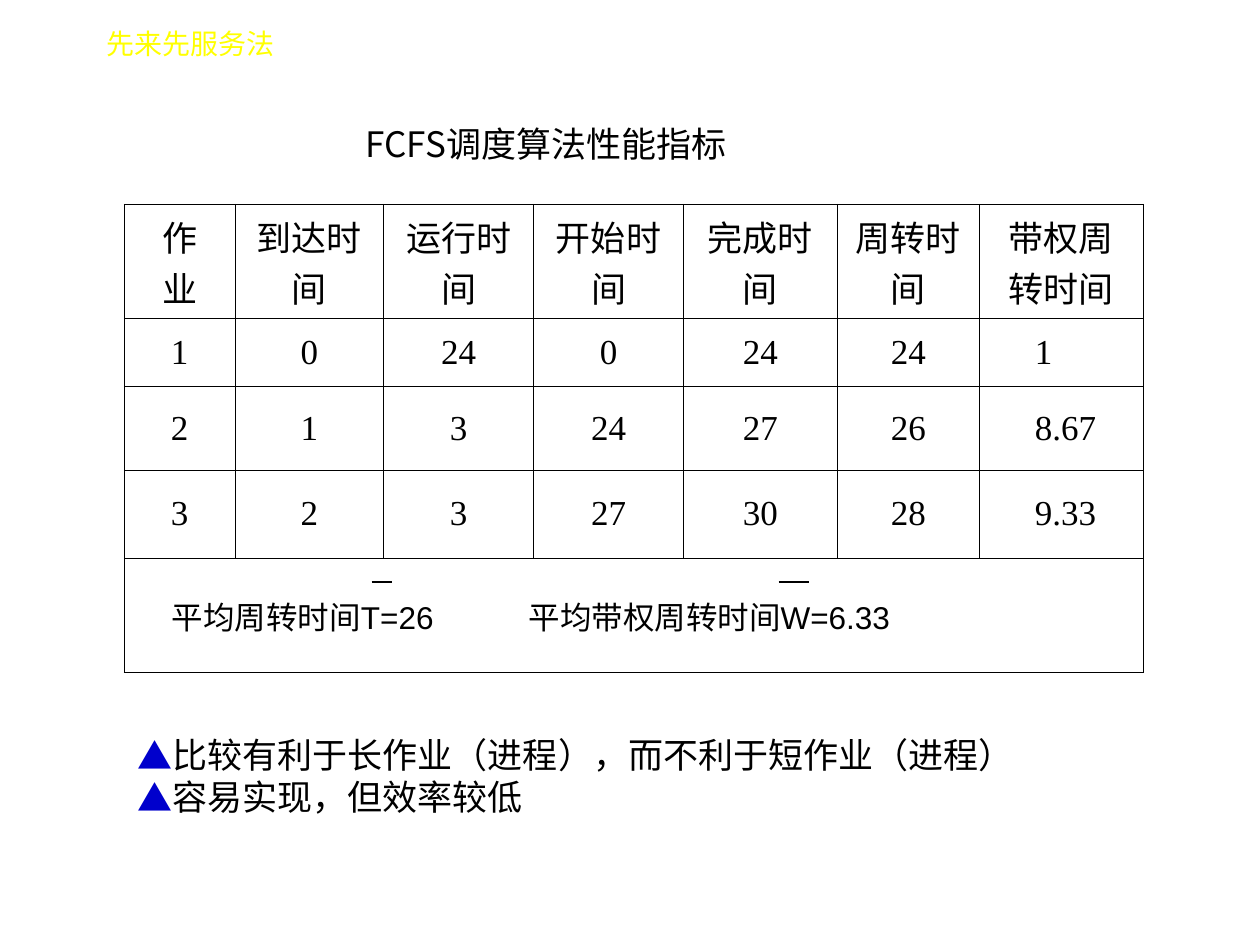
from lxml.etree import SubElement
from pptx import Presentation
from pptx.dml.color import RGBColor
from pptx.enum.shapes import MSO_CONNECTOR as Connector
from pptx.enum.text import MSO_ANCHOR as Anchor, PP_ALIGN as Align
from pptx.oxml.ns import qn
from pptx.util import Inches, Pt

BLACK, YELLOW, BLUE = "000000", "FFFF00", "0000CC"
COLUMNS, ROWS = 100, 75


def color(value):
    return RGBColor.from_string(value)


class SlideBuilder:
    """Draws styled elements on a slide measured in a 100 by 75 grid."""

    text_font, cjk_font, number_font = "Arial", "Noto Sans CJK SC", "Times New Roman"

    def __init__(self, presentation):
        self.width, self.height = presentation.slide_width, presentation.slide_height
        self.slide = presentation.slides.add_slide(presentation.slide_layouts[6])

    def x(self, columns):
        return round(self.width * columns / COLUMNS)

    def y(self, rows):
        return round(self.height * rows / ROWS)

    def style(self, paragraph, size, font, fill=BLACK):
        paragraph.font.size = Pt(size)
        paragraph.font.name = font
        paragraph.font.color.rgb = color(fill)

    def text(self, left, top, width, height, lines, size, font=text_font,
             fill=BLACK, anchor=Anchor.MIDDLE, wrap=True, spacing=None):
        shape = self.slide.shapes.add_textbox(self.x(left), self.y(top), self.x(width), self.y(height))
        frame = shape.text_frame
        frame.word_wrap, frame.vertical_anchor = wrap, anchor
        frame.text = "\n".join(lines)
        for paragraph in frame.paragraphs:
            self.style(paragraph, size, font, fill)
            paragraph.line_spacing = spacing
        return frame

    def bullets(self, frame, character, fill, indent):
        for paragraph in frame.paragraphs:
            properties = paragraph._p.get_or_add_pPr()
            properties.set("marL", str(self.x(indent)))
            properties.set("indent", str(-self.x(indent)))
            bullet_color = SubElement(properties, qn("a:buClr"))
            SubElement(bullet_color, qn("a:srgbClr"), val=fill)
            SubElement(properties, qn("a:buFont"), typeface=self.cjk_font)
            SubElement(properties, qn("a:buChar"), char=character)

    def cell(self, cell, content, size, font, align, margin=1):
        cell.text = content
        cell.vertical_anchor = Anchor.MIDDLE
        cell.margin_left = self.x(margin)
        paragraph = cell.text_frame.paragraphs[0]
        paragraph.alignment = align
        self.style(paragraph, size, font)
        return paragraph

    def border(self, cell, width=0.45):
        properties = cell._tc.get_or_add_tcPr()
        for side in ("lnL", "lnR", "lnT", "lnB"):
            line = SubElement(properties, qn(f"a:{side}"), w=str(Pt(width)))
            fill = SubElement(line, qn("a:solidFill"))
            SubElement(fill, qn("a:srgbClr"), val=BLACK)
        cell.fill.background()

    def table(self, left, top, widths, heights, records):
        frame = self.slide.shapes.add_table(len(heights), len(widths), self.x(left), self.y(top),
                                            self.x(sum(widths)), self.y(sum(heights)))
        table = frame.table
        table.first_row = table.horz_banding = False
        for column, width in zip(table.columns, widths):
            column.width = self.x(width)
        for row, height in zip(table.rows, heights):
            row.height = self.y(height)
        for cell in table.iter_cells():
            self.border(cell)
        last = len(widths) - 1
        for r, record in enumerate(records):
            for c, content in enumerate(record):
                ratio = r > 0 and c == last
                self.cell(table.cell(r, c), content, 20, self.number_font,
                          Align.LEFT if ratio else Align.CENTER, 4.4 if ratio else 1)
        return table

    def summary(self, table, row, content, margin, tab):
        cell = table.cell(row, 0)
        cell.merge(table.cell(row, len(table.columns) - 1))
        paragraph = self.cell(cell, content, 18, self.text_font, Align.LEFT, margin)
        tabs = SubElement(paragraph._p.get_or_add_pPr(), qn("a:tabLst"))
        SubElement(tabs, qn("a:tab"), pos=str(self.x(tab)), algn="l")

    def line(self, left, right, top, width=1.5):
        connector = self.slide.shapes.add_connector(
            Connector.STRAIGHT, self.x(left), self.y(top), self.x(right), self.y(top))
        connector.line.color.rgb = color(BLACK)
        connector.line.width = Pt(width)
        SubElement(connector._element.spPr, qn("a:effectLst"))


presentation = Presentation()
presentation.slide_width, presentation.slide_height = Inches(10), Inches(7.5)
builder = SlideBuilder(presentation)

title = builder.text(28, 9.9, 33.1, 3.8, ["FCFS调度算法性能指标"], 20, builder.cjk_font,
                     anchor=Anchor.TOP, spacing=0.8)
title.paragraphs[0].space_before = Pt(5)

jobs = [
    ["作\v业", "到达时间", "运行时间", "开始时间", "完成时间", "周转时间", "带权周转时间"],
    ["1", "0", "24", "0", "24", "24", "1"],
    ["2", "1", "3", "24", "27", "26", "8.67"],
    ["3", "2", "3", "27", "30", "28", "9.33"],
]
metrics = builder.table(9.85, 16.2, [8.8, 11.8, 11.9, 11.9, 12.2, 11.3, 13],
                        [9.1, 5.4, 6.6, 7, 9.1], jobs)
builder.summary(metrics, len(jobs), "平均周转时间T=26\t平均带权周转时间W=6.33", 3.8, 28.3)

for left, right in ((29.5, 31.1), (61.8, 64.2)):
    builder.line(left, right, 46.2)

builder.text(7.5, 1.4, 18.9, 4, ["先来先服务法"], 16, fill=YELLOW)
remarks = builder.text(9.9, 57.7, 72.2, 7.7,
                       ["比较有利于长作业（进程），而不利于短作业（进程）", "容易实现，但效率较低"],
                       20, wrap=False, spacing=Pt(24))
builder.bullets(remarks, "▲", BLUE, 2.8)

presentation.save("out.pptx")
